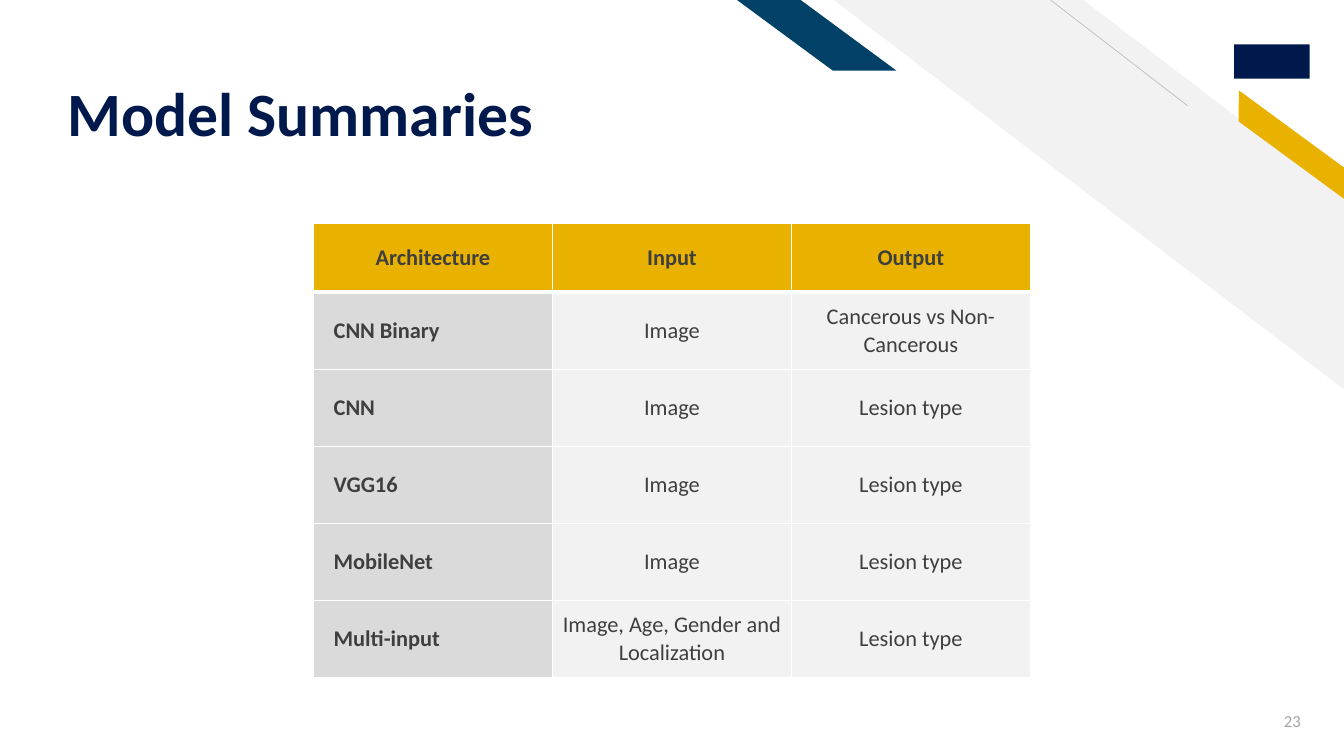
from pptx import Presentation
from pptx.dml.color import RGBColor
from pptx.enum import shapes, text
from pptx.oxml import parse_xml
from pptx.oxml.ns import nsdecls
from pptx.util import Inches, Pt

HEADING = "Model Summaries"
PAGE = "23"
HEADERS = ("Architecture", "Input", "Output")
MODELS = [
    ("CNN Binary", "Image", "Cancerous vs Non-Cancerous"),
    ("CNN", "Image", "Lesion type"),
    ("VGG16", "Image", "Lesion type"),
    ("MobileNet", "Image", "Lesion type"),
    ("Multi-input", "Image, Age, Gender and Localization", "Lesion type"),
]
THEME = {
    "font": "Calibri",
    "navy": "00194C", "blue": "014067", "gold": "EAB200",
    "pale": "F2F2F2", "label": "DADADA", "rule": "BFBFBF",
    "ink": "3F3F3F", "number": "A5A5A5", "border": "FFFFFF",
    "title_size": 44, "cell_size": 16, "number_size": 12,
}
SHAPE = shapes.MSO_SHAPE
STRIPES = [
    (SHAPE.DIAGONAL_STRIPE, (8.27, 0, 5.07, 3.87), 0.512, 0, "pale"),
    (SHAPE.PARALLELOGRAM, (12.07, 1.31, 1.48, 0.25), 0.72, 36.3, "gold"),
    (SHAPE.PARALLELOGRAM, (7.31, 0, 1.58, 0.7), 1.356, 0, "blue"),
]
EMBLEM = (12.24, 0.44, 0.75, 0.34)
RULE = (11.78, 1.05, 10.42, 0)
TITLE = (0.57, 0.23, 9.11, 1.26)
TABLE = (3.11, 2.22, 7.11, 4.5)
HEADER_HEIGHT = 0.68
NUMBER = (12.19, 6.95, 0.81, 0.4)


def inches(lengths):
    return [Inches(length) for length in lengths]


def color(name):
    return RGBColor.from_string(THEME[name])


def assign(target, values):
    for name, value in values.items():
        setattr(target, name, value)


def write(paragraph, words, size, ink, align, bold=False):
    paragraph.alignment = align
    run = paragraph.add_run()
    run.text = words
    assign(run.font, {"name": THEME["font"], "size": Pt(THEME[size]), "bold": bold})
    run.font.color.rgb = color(ink)


def add_plain(slide, preset, box, fill):
    plain = slide.shapes.add_shape(preset, *inches(box))
    plain.shadow.inherit = False
    plain.fill.solid()
    plain.fill.fore_color.rgb = color(fill)
    plain.line.fill.background()
    return plain


def add_decor(slide):
    for preset, box, slant, turn, fill in STRIPES:
        stripe = add_plain(slide, preset, box, fill)
        stripe.adjustments[0] = slant
        stripe.rotation = turn
        stripe.element.spPr.xfrm.set("flipH", "1")
    add_plain(slide, SHAPE.RECTANGLE, EMBLEM, "navy")
    rule = slide.shapes.add_connector(shapes.MSO_CONNECTOR.STRAIGHT, *inches(RULE))
    rule.line.color.rgb = color("rule")
    rule.line.width = Pt(0.5)
    rule.element.spPr.append(parse_xml(f"<a:effectLst {nsdecls('a')}/>"))


def add_title(slide):
    title = slide.shapes.title
    assign(title, dict(zip(("left", "top", "width", "height"), inches(TITLE))))
    assign(title.text_frame, {
        "word_wrap": True,
        "auto_size": text.MSO_AUTO_SIZE.NONE,
        "vertical_anchor": text.MSO_ANCHOR.BOTTOM,
        "margin_bottom": 0,
    })
    heading = title.text_frame.paragraphs[0]
    heading.line_spacing = 0.9
    write(heading, HEADING, "title_size", "navy", text.PP_ALIGN.LEFT, True)


def set_borders(cell, widths):
    properties = cell._tc.get_or_add_tcPr()
    for place, (side, width) in enumerate(widths.items()):
        properties.insert(place, parse_xml(
            f'<a:ln{side} {nsdecls("a")} w="{Pt(width)}"><a:solidFill>'
            f'<a:srgbClr val="{THEME["border"]}"/></a:solidFill></a:ln{side}>'))


def add_models(slide):
    rows = [HEADERS, *MODELS]
    table = slide.shapes.add_table(len(rows), len(HEADERS), *inches(TABLE)).table
    assign(table, {"first_row": False, "horz_banding": False})
    for column in table.columns:
        column.width = Inches(TABLE[2] / len(HEADERS))
    model_height = (TABLE[3] - HEADER_HEIGHT) / len(MODELS)
    for r, row in enumerate(rows):
        table.rows[r].height = Inches(model_height if r else HEADER_HEIGHT)
        for c, words in enumerate(row):
            cell = table.cell(r, c)
            is_label = r > 0 and c == 0
            fill = "gold" if r == 0 else "label" if is_label else "pale"
            cell.fill.solid()
            cell.fill.fore_color.rgb = color(fill)
            assign(cell, {
                "vertical_anchor": text.MSO_ANCHOR.MIDDLE,
                "margin_left": Inches(0.2 if is_label else 0.1),
            })
            set_borders(cell, {"L": 1, "R": 1, "T": 3 if r == 1 else 1, "B": 1 if r else 3})
            align = text.PP_ALIGN.LEFT if is_label else text.PP_ALIGN.CENTER
            write(cell.text_frame.paragraphs[0], words, "cell_size", "ink",
                  align, r == 0 or c == 0)


def add_number(slide):
    frame = slide.shapes.add_textbox(*inches(NUMBER)).text_frame
    assign(frame, {"word_wrap": True, "vertical_anchor": text.MSO_ANCHOR.MIDDLE})
    write(frame.paragraphs[0], PAGE, "number_size", "number", text.PP_ALIGN.RIGHT)


def main():
    deck = Presentation()
    assign(deck, {"slide_width": Inches(13.33), "slide_height": Inches(7.5)})
    slide = deck.slides.add_slide(deck.slide_layouts[5])
    add_decor(slide)
    add_title(slide)
    add_models(slide)
    add_number(slide)
    deck.save("out.pptx")


if __name__ == "__main__":
    main()
